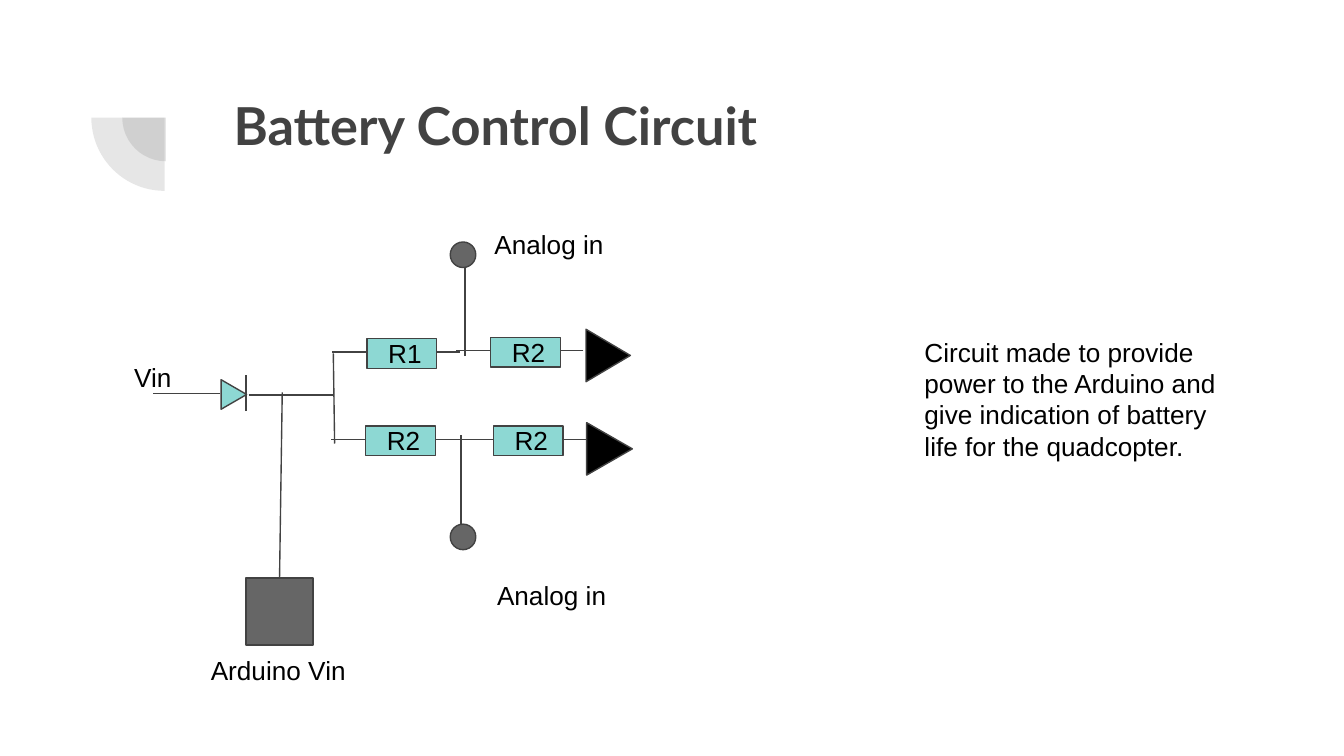
from dataclasses import dataclass

from lxml import etree
from pptx import Presentation
from pptx import util as u
from pptx.dml.color import RGBColor
from pptx.enum import shapes, text
from pptx.oxml.ns import qn

PX = 9144  # EMU per px, 100 px to the inch
COLORS = {"ink": "424242", "teal": "8DD8D3", "gray": "666666", "black": "000000"}
KINDS = shapes.MSO_SHAPE
BODY = {"name": "Arial", "size": u.Pt(14), "bold": False}
HEADING = {"name": "Lato", "size": u.Pt(28), "bold": True}
INSET = 10


@dataclass
class Part:
    kind: int
    x: int
    y: int
    w: int
    h: int
    fill: str
    turn: int = 0


@dataclass
class Wire:
    x1: int
    y1: int
    x2: int
    y2: int


@dataclass
class Label:
    words: str
    x: int
    y: int
    w: int
    h: int
    anchor: int = text.MSO_ANCHOR.TOP


@dataclass
class Resistor:
    name: str
    x: int
    y: int


def color(name: str) -> RGBColor:
    return RGBColor.from_string(COLORS[name])


def px(*lengths: int) -> list[int]:
    return [u.Emu(length * PX) for length in lengths]


def draw_part(page, part: Part):
    shape = page.shapes.add_shape(part.kind, *px(part.x, part.y, part.w, part.h))
    shape.shadow.inherit = False
    shape.rotation = part.turn
    shape.fill.solid()
    shape.fill.fore_color.rgb = color(part.fill)
    shape.line.color.rgb = color("ink")
    shape.line.width = u.Pt(0.75)
    return shape


def draw_wire(page, wire: Wire):
    line = page.shapes.add_connector(
        shapes.MSO_CONNECTOR.STRAIGHT, *px(wire.x1, wire.y1, wire.x2, wire.y2))
    line.line.color.rgb = color("ink")
    line.line.width = u.Pt(0.75)
    etree.SubElement(line._element.spPr, qn("a:effectLst"))
    return line


def draw_label(page, label: Label, font: dict = BODY, ink: str = "black") -> None:
    box = page.shapes.add_textbox(*px(label.x, label.y, label.w, label.h))
    frame_format = {"word_wrap": True, "vertical_anchor": label.anchor}
    for side in ("left", "top", "right", "bottom"):
        frame_format[f"margin_{side}"] = u.Emu(INSET * PX)
    for key, value in frame_format.items():
        setattr(box.text_frame, key, value)
    span = box.text_frame.paragraphs[0].add_run()
    span.text = label.words
    for key, value in font.items():
        setattr(span.font, key, value)
    span.font.color.rgb = color(ink)


def draw_resistor(page, resistor: Resistor) -> None:
    x, y = resistor.x, resistor.y
    draw_wire(page, Wire(x + 69, y + 10, x - 26, y + 10))
    draw_part(page, Part(KINDS.RECTANGLE, x, y, 52, 22, "teal"))
    draw_label(page, Label(resistor.name, x + 6, y - 11, 81, 22))


def draw_quarter(page, x: int, y: int, size: int) -> None:
    quarter = draw_part(page, Part(KINDS.PIE, x, y, size, size, "ink", 270))
    quarter.adjustments[0] = 108  # 180 degrees
    quarter.adjustments[1] = 162  # 270 degrees
    quarter.line.fill.background()
    tint = quarter._element.spPr.find(qn("a:solidFill"))[0]
    etree.SubElement(tint, qn("a:alpha"), val="13000")


RESISTORS = [
    Resistor("R1", 273, 252),
    Resistor("R2", 272, 317),
    Resistor("R2", 367, 317),
    Resistor("R2", 365, 251),
]
WIRES = [
    Wire(183, 306, 183, 279),  # diode bar
    Wire(185, 294, 248, 294),  # diode to branch
    Wire(248, 263, 249, 330),  # branch
    Wire(343, 324, 343, 394),  # lower analog tap
    Wire(346, 265, 346, 195),  # upper analog tap
    Wire(164, 293, 114, 293),  # supply to diode
]
PARTS = [
    Part(KINDS.ISOSCELES_TRIANGLE, 163, 284, 22, 19, "teal", 90),
    Part(KINDS.ISOSCELES_TRIANGLE, 433, 248, 39, 33, "black", 90),
    Part(KINDS.ISOSCELES_TRIANGLE, 434, 317, 39, 34, "black", 90),
    Part(KINDS.OVAL, 335, 390, 19, 19, "gray"),
    Part(KINDS.OVAL, 335, 180, 19, 19, "gray", 180),
]
LABELS = [
    Label("Vin", 90, 259, 60, 27),
    Label("Analog in", 358, 160, 188, 39),
    Label("Analog in", 360, 414, 113, 58, text.MSO_ANCHOR.MIDDLE),
    Label("Arduino Vin", 147, 477, 139, 39),
    Label("Circuit made to provide power to the Arduino and give indication "
          "of battery life for the quadcopter.", 678, 240, 255, 136),
]


def main() -> None:
    deck = Presentation()
    deck.slide_width = u.Emu(1000 * PX)
    deck.slide_height = u.Emu(deck.slide_width * 9 // 16)
    page = deck.slides.add_slide(deck.slide_layouts[6])

    # Corner ornament and title
    draw_quarter(page, 91, 55, 65)
    draw_quarter(page, 68, 33, 109)
    draw_label(page, Label("Battery Control Circuit", 164, 59, 769, 109), HEADING, "ink")

    # Circuit
    for resistor in RESISTORS:
        draw_resistor(page, resistor)
    for wire in WIRES:
        draw_wire(page, wire)
    for part in PARTS:
        draw_part(page, part)

    # Arduino and its feed
    arduino = draw_part(page, Part(KINDS.RECTANGLE, 183, 430, 50, 50, "gray"))
    feed = draw_wire(page, Wire(210, 292, 208, 430))
    feed.end_connect(arduino, 0)

    # Labels and description
    for label in LABELS:
        draw_label(page, label)

    deck.save("out.pptx")


if __name__ == "__main__":
    main()
